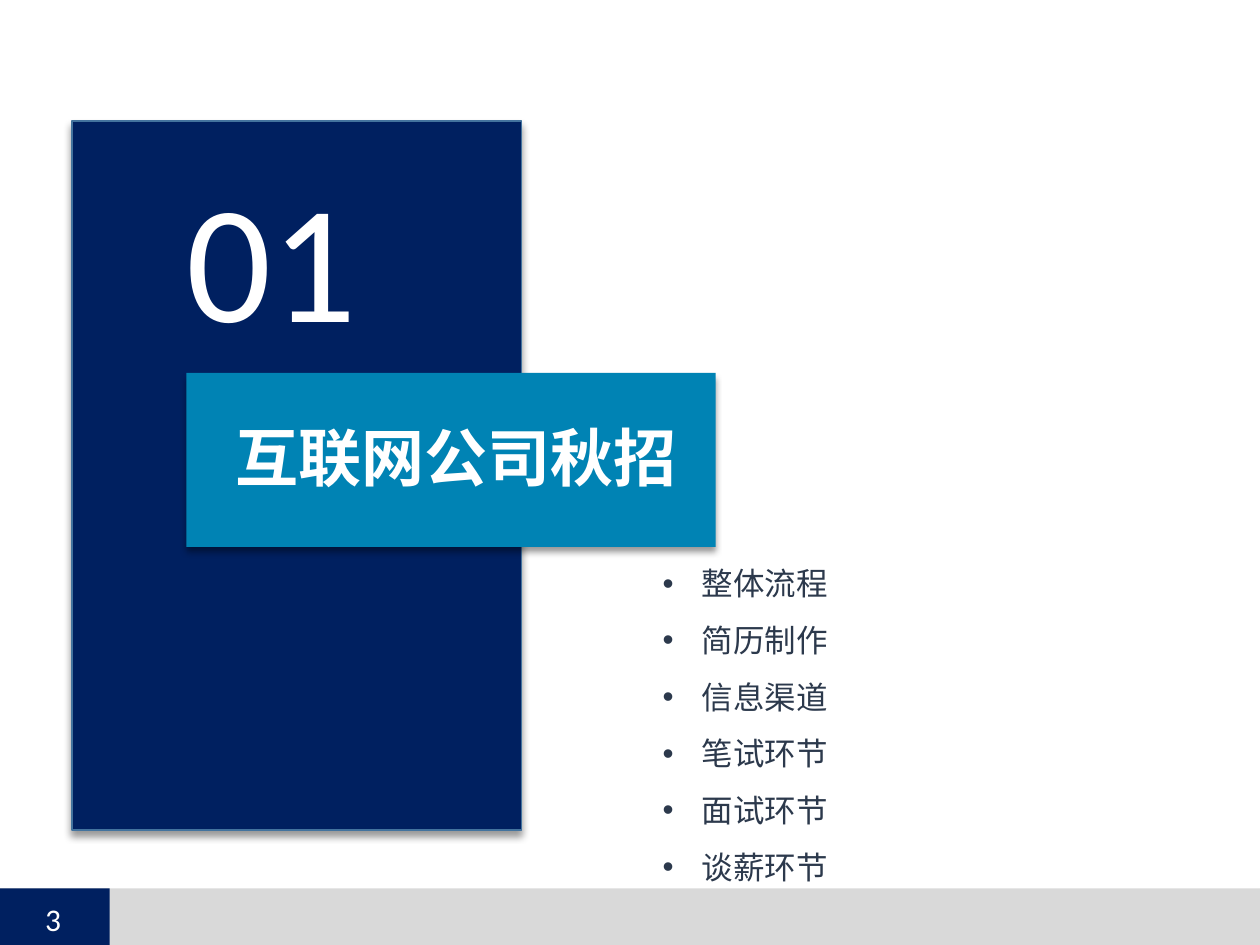
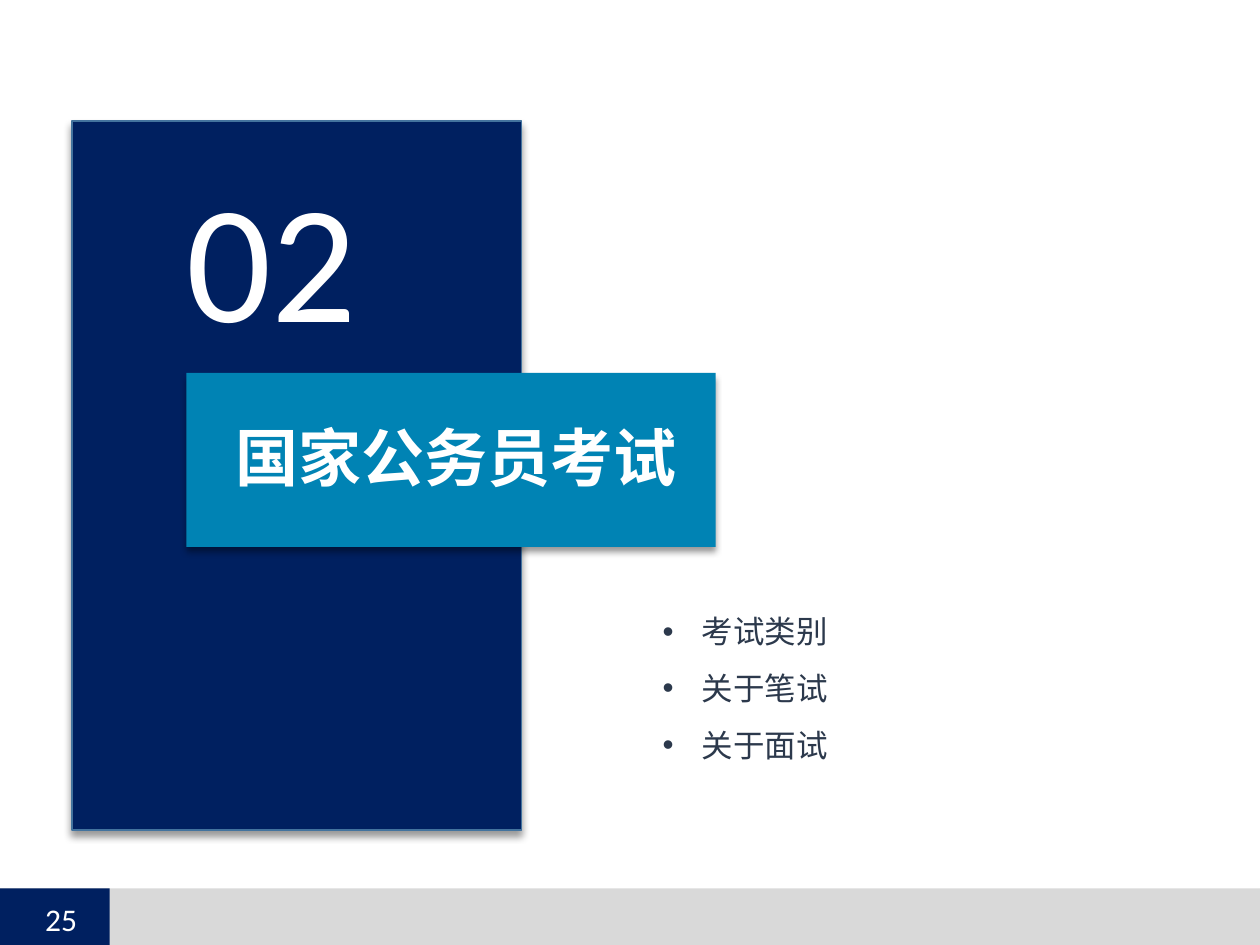
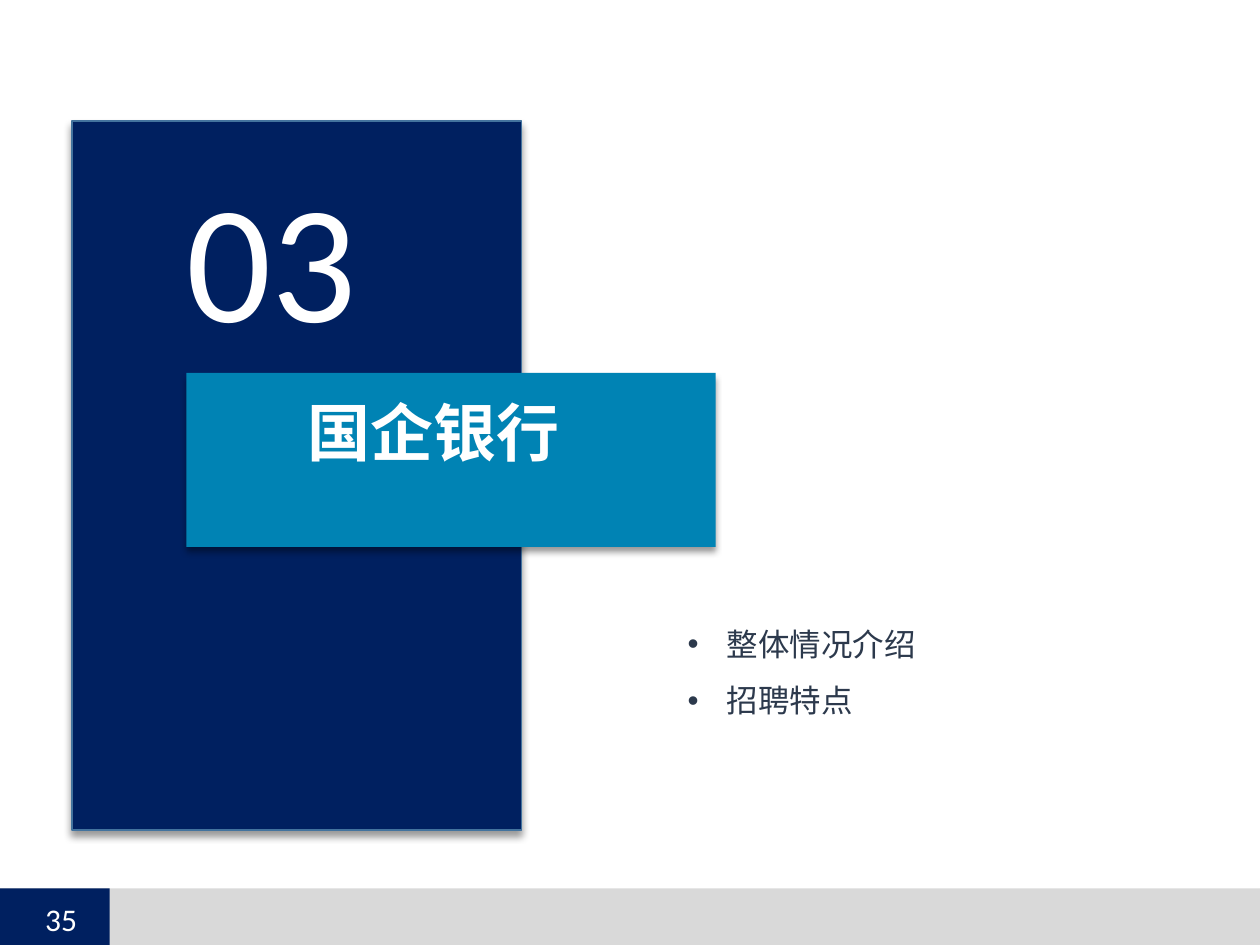
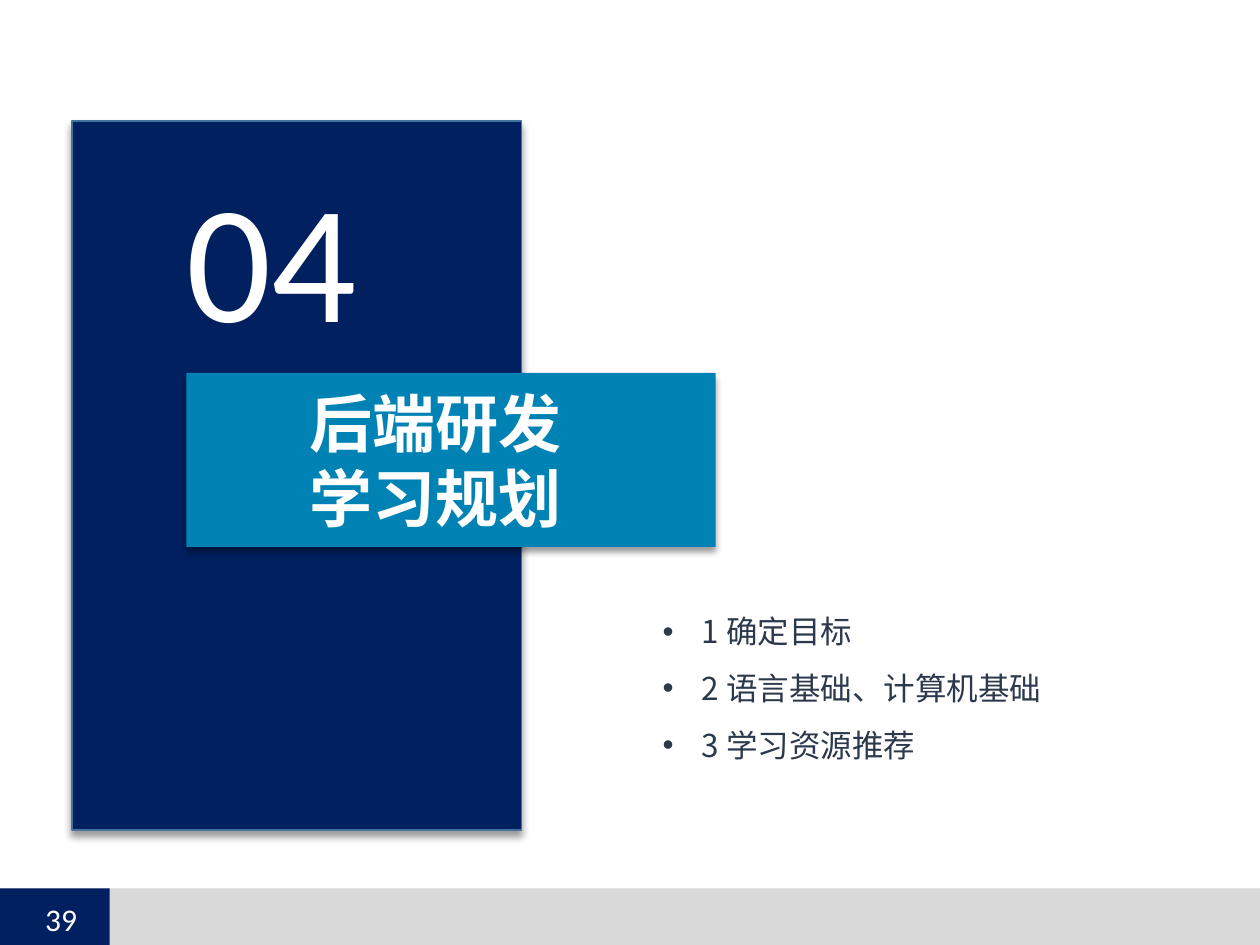
from lxml.etree import SubElement
from pptx import Presentation
from pptx.dml.color import RGBColor
from pptx.enum.shapes import MSO_SHAPE
from pptx.enum.text import MSO_AUTO_SIZE
from pptx.oxml.ns import qn
from pptx.util import Inches, Pt

COLORS = {
    "navy": "002060",
    "navy_edge": "43739E",
    "teal": "0083B4",
    "band": "D9D9D9",
    "white": "FFFFFF",
    "ink": "2C394C",
    "shadow": "000000",
}
LATIN, CJK = "Calibri", "Noto Sans CJK SC"

# Page number, title lines, title font, title position, list position, topics
SECTIONS = [
    (3, ["互联网公司秋招"], LATIN, (1.87, 3.32), (5.16, 4.28),
     ["整体流程", "简历制作", "信息渠道", "笔试环节", "面试环节", "谈薪环节"]),
    (25, ["国家公务员考试"], CJK, (1.87, 3.32), (5.16, 4.66),
     ["考试类别", "关于笔试", "关于面试"]),
    (35, ["国企银行"], CJK, (2.44, 3.12), (5.36, 4.76),
     ["整体情况介绍", "招聘特点"]),
    (39, ["后端研发", "学习规划"], CJK, (2.46, 3.05), (5.16, 4.66),
     ["1 确定目标", "2 语言基础、计算机基础", "3 学习资源推荐"]),
]


def add_block(shapes, box, color, shadow=False):
    block = shapes.add_shape(MSO_SHAPE.RECTANGLE, *map(Inches, box))
    block.fill.solid()
    block.fill.fore_color.rgb = RGBColor.from_string(COLORS[color])
    block.line.fill.background()
    block.shadow.inherit = False
    if shadow:
        effects = block._element.spPr.find(qn("a:effectLst"))
        outer = SubElement(effects, qn("a:outerShdw"), blurRad=str(Pt(4)), dist=str(Pt(3)),
                           dir="5400000", algn="t", rotWithShape="0")
        tint = SubElement(outer, qn("a:srgbClr"), val=COLORS["shadow"])
        SubElement(tint, qn("a:alpha"), val="40000")
    return block


def add_text(shapes, box, lines, size, font, color="white", bold=None, inset=True, bullets=False):
    frame = shapes.add_textbox(*map(Inches, box)).text_frame
    frame.word_wrap = True
    frame.auto_size = MSO_AUTO_SIZE.SHAPE_TO_FIT_TEXT
    if not inset:
        frame.margin_left = frame.margin_top = frame.margin_right = frame.margin_bottom = 0
    frame.text = "\n".join(lines)
    for paragraph in frame.paragraphs:
        if bullets:
            paragraph.line_spacing = 1.5
            props = paragraph._p.get_or_add_pPr()
            props.set("marL", str(Inches(0.31)))
            props.set("indent", str(-Inches(0.31)))
            SubElement(props, qn("a:buFont"), typeface="Arial")
            SubElement(props, qn("a:buChar"), char="•")
        for run in paragraph.runs:
            run.font.size = Pt(size)
            run.font.bold = bold
            run.font.color.rgb = RGBColor.from_string(COLORS[color])
            run.font.name = font
            SubElement(run._r.get_or_add_rPr(), qn("a:ea"), typeface=CJK)


deck = Presentation()
deck.slide_width, deck.slide_height = Inches(10), Inches(7.5)

for number, (page, title, title_font, title_at, topics_at, topics) in enumerate(SECTIONS, 1):
    shapes = deck.slides.add_slide(deck.slide_layouts[6]).shapes

    # Footer bands
    add_block(shapes, (0, 7.05, 10, 0.46), "band")
    add_block(shapes, (0, 7.05, 0.87, 0.46), "navy")

    # Section panel
    panel = add_block(shapes, (0.57, 0.96, 3.57, 5.63), "navy", shadow=True)
    panel.line.color.rgb = RGBColor.from_string(COLORS["navy_edge"])
    panel.line.width = Pt(1)

    # Title banner
    banner = shapes.add_group_shape().shapes
    add_block(banner, (1.48, 2.96, 4.2, 1.38), "teal", shadow=True)
    add_text(banner, (*title_at, 3.57, 0.61 * len(title)), title, 36, title_font,
             bold=True, inset=False)

    # Section number, topics and page number
    add_text(shapes, (1.48, 1.23, 1.62, 1.62), [f"{number:02}"], 96, LATIN, inset=False)
    add_text(shapes, (*topics_at, 4.41, 0.45 * len(topics) + 0.06), topics, 18, CJK,
             color="ink", bullets=True)
    add_text(shapes, (0.26, 7.09, 0.56, 0.4), [str(page)], 18, LATIN)

deck.save("out.pptx")
